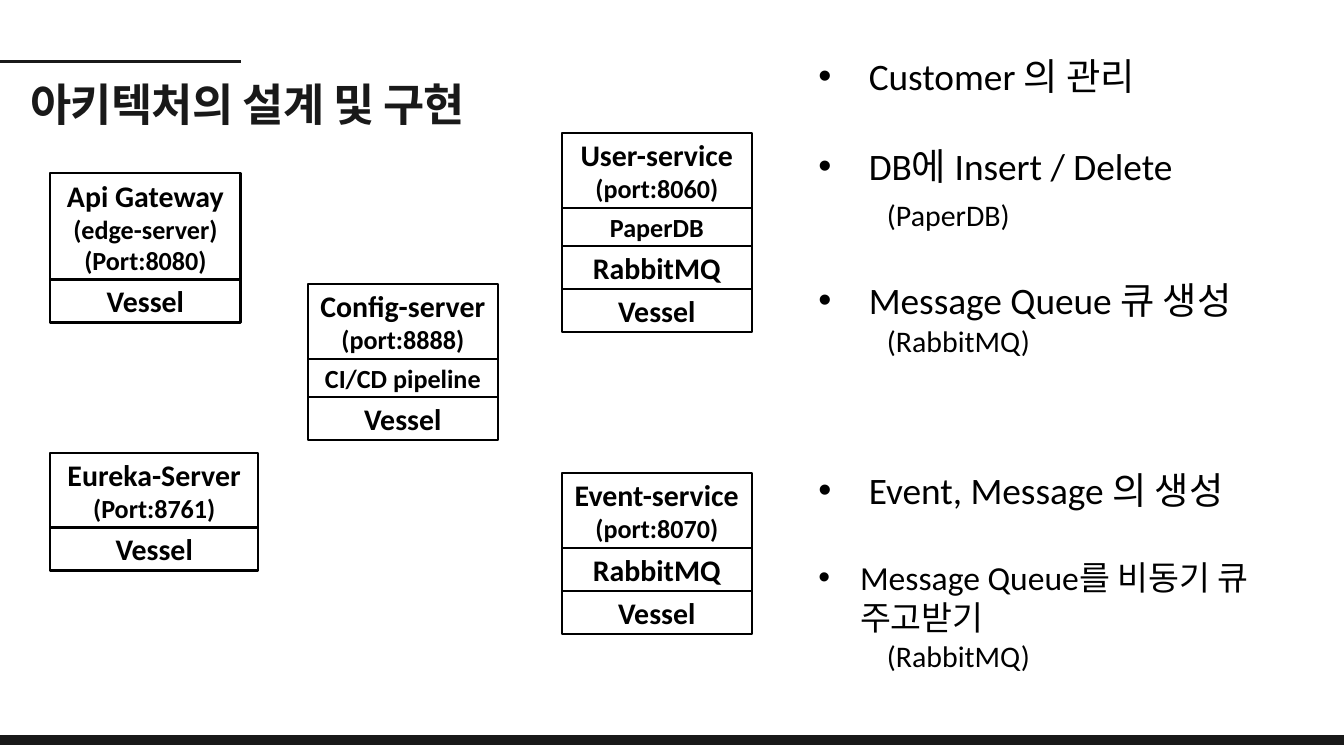
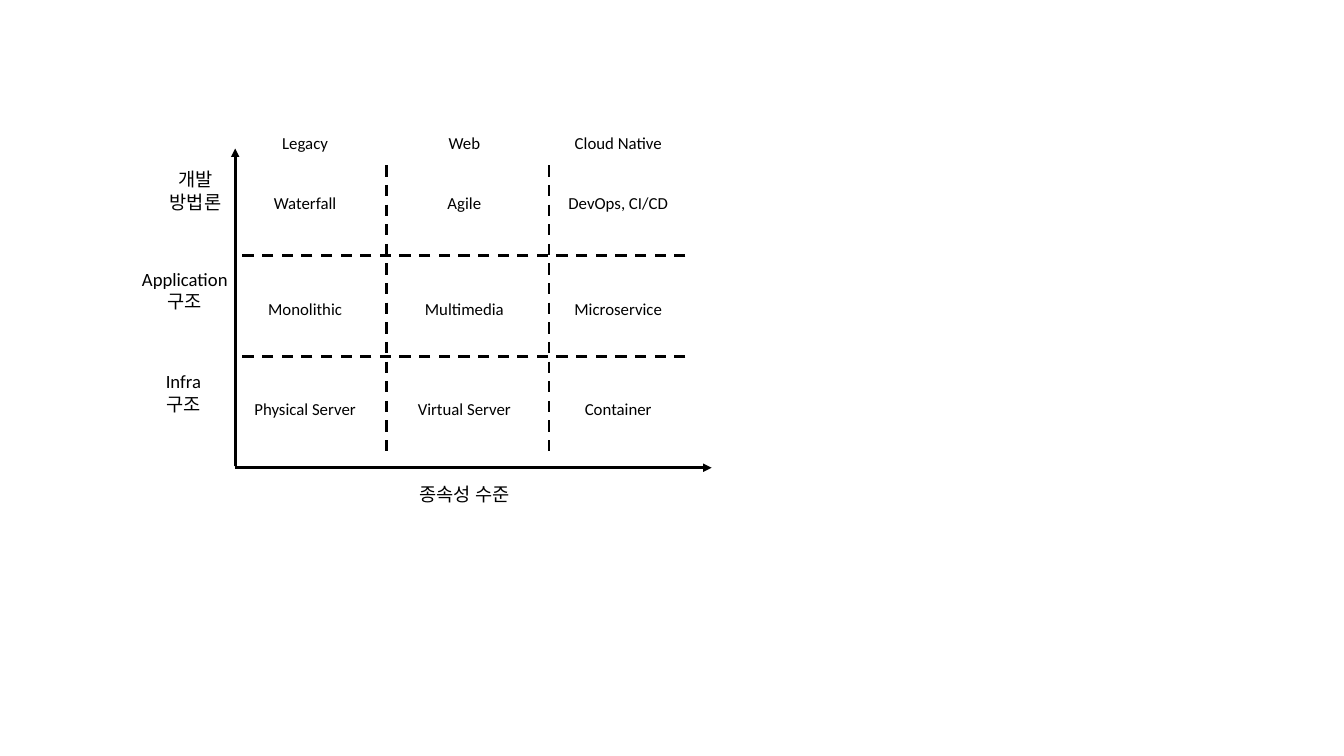
from pptx import Presentation
from pptx.util import Inches, Pt
from pptx.dml.color import RGBColor
from pptx.enum.dml import MSO_LINE
from pptx.enum.shapes import MSO_CONNECTOR, MSO_SHAPE
from pptx.enum.text import MSO_ANCHOR, PP_ALIGN
from pptx.oxml.ns import qn
from lxml.etree import SubElement

COLORS = {"ink": "000000", "dark": "191919"}
FONT = "Calibri"
TITLE_FONT = "Noto Sans CJK KR"
BIG, SMALL = 32, 28
LINE_HIGH = {BIG: 0.54, SMALL: 0.47}
VESSEL = [("Vessel", BIG)]
RABBIT = [("RabbitMQ", BIG)]

# Left, top, width and cells of each service stack
STACKS = [
    (0.75, 2.58, 2.83, [[("Api Gateway", BIG), ("(edge-server)", SMALL),
                         ("(Port:8080)", SMALL)], VESSEL]),
    (4.58, 4.23, 2.83, [[("Config-server", BIG), ("(port:8888)", SMALL)],
                        [("CI/CD pipeline", SMALL)], VESSEL]),
    (0.75, 6.74, 3.09, [[("Eureka-Server", BIG), ("(Port:8761)", SMALL)],
                        VESSEL]),
    (8.36, 1.98, 2.83, [[("User-service", BIG), ("(port:8060)", SMALL)],
                        [("PaperDB", SMALL)], RABBIT, VESSEL]),
    (8.36, 7.04, 2.83, [[("Event-service", BIG), ("(port:8070)", SMALL)],
                        RABBIT, VESSEL]),
]

# Text, size, indent, space before, bulleted
USER_NOTES = [
    ("Customer 의 관리", 40, 0.75, 0, True),
    ("DB에 Insert / Delete", 40, 0.75, 49, True),
    ("(PaperDB)", 32, 1.02, 9, False),
    ("Message Queue 큐 생성", 40, 0.75, 48, True),
    ("(RabbitMQ)", 32, 1.02, 1, False),
]
EVENT_NOTES = [
    ("Event, Message 의 생성", 40, 0.75, 0, True),
    ("Message Queue를 비동기 큐 주고받기", 36, 0.62, 48, True),
    ("(RabbitMQ)", 32, 1.02, 0, False),
]

# Grid of eras (columns) by layer (rows)
COL_LEFTS = [3.67, 6.04, 8.33]
GRID = [
    (1.93, ["Legacy", "Web", "Cloud Native"]),
    (2.82, ["Waterfall", "Agile", "DevOps, CI/CD"]),
    (4.4, ["Monolithic", "Multimedia", "Microservice"]),
    (5.88, ["Physical Server", "Virtual Server", "Container"]),
]
AXIS_LABELS = [
    (2.31, 2.45, 1.2, ["개발 방법론"]),
    (2, 3.93, 1.5, ["Application 구조"]),
    (1.98, 5.46, 1.5, ["Infra", "구조"]),
]


def color(name):
    return RGBColor.from_string(COLORS[name])


def style(para, size, bold=False, name="ink", font=FONT):
    for run in para.runs:
        run.font.size = Pt(size)
        run.font.name = font
        run.font.bold = bold
        run.font.color.rgb = color(name)


def write(frame, lines, bold=False):
    """Fill a frame with centred (text, size) lines."""
    frame.word_wrap = True
    frame.text = "\n".join(text for text, _ in lines)
    for para, (_, size) in zip(frame.paragraphs, lines):
        para.alignment = PP_ALIGN.CENTER
        style(para, size, bold)


def add_box(slide, left, top, width, height):
    box = slide.shapes.add_textbox(*map(Inches, (left, top, width, height)))
    box.text_frame.word_wrap = True
    return box.text_frame


def add_rect(slide, left, top, width, height, line, weight):
    rect = slide.shapes.add_shape(
        MSO_SHAPE.RECTANGLE, *map(Inches, (left, top, width, height)))
    rect.shadow.inherit = False
    rect.fill.background()
    rect.line.color.rgb = color(line)
    rect.line.width = Pt(weight)
    return rect


def add_line(slide, start, end, name="ink", dash=False, arrow=False):
    line = slide.shapes.add_connector(
        MSO_CONNECTOR.STRAIGHT, *map(Inches, (*start, *end)))
    line.line.color.rgb = color(name)
    line.line.width = Pt(3)
    if dash:
        line.line.dash_style = MSO_LINE.DASH
    if arrow:
        SubElement(line.line._get_or_add_ln(), qn("a:tailEnd"), type="triangle")
    SubElement(line._element.spPr, qn("a:effectLst"))


def add_title(slide, text):
    frame = add_box(slide, 0.04, 1.03, 6.88, 0.85)
    frame.margin_left = frame.margin_right = 0
    frame.margin_top = frame.margin_bottom = 0
    frame.text = text
    para = frame.paragraphs[0]
    para.alignment = PP_ALIGN.RIGHT
    para.line_spacing = Pt(65.9)
    style(para, 48, True, "dark", TITLE_FONT)
    props = para.runs[0].font._element
    props.set("spc", "-70")
    SubElement(props, qn("a:ea"), typeface=TITLE_FONT)
    add_line(slide, (0, 0.91), (3.58, 0.91), "dark")


def add_band(slide):
    band = add_rect(slide, -0.32, 10.95, 20.64, 0.13, "dark", 1.5)
    band.fill.solid()
    band.fill.fore_color.rgb = color("dark")


def add_stack(slide, left, top, width, cells):
    for lines in cells:
        height = 0.1 + sum(LINE_HIGH[size] for _, size in lines)
        cell = add_rect(slide, left, top, width, height, "ink", 2.25)
        cell.text_frame.vertical_anchor = MSO_ANCHOR.MIDDLE
        write(cell.text_frame, lines, True)
        top += height


def add_notes(slide, top, height, notes):
    frame = add_box(slide, 12.08, top, 6.83, height)
    frame.text = "\n".join(note[0] for note in notes)
    for para, (_, size, indent, space, bullet) in zip(frame.paragraphs, notes):
        if space:
            para.space_before = Pt(space)
        props = para._p.get_or_add_pPr()
        props.set("marL", str(Inches(indent)))
        if bullet:
            props.set("indent", str(-Inches(indent)))
            SubElement(props, qn("a:buFont"), typeface="Arial")
            SubElement(props, qn("a:buChar"), char="•")
        style(para, size)


def build_services(slide):
    add_band(slide)
    add_title(slide, "아키텍처의 설계 및 구현")
    for stack in STACKS:
        add_stack(slide, *stack)
    add_notes(slide, 0.74, 5.5, USER_NOTES)
    add_notes(slide, 6.9, 3.2, EVENT_NOTES)


def build_grid(slide):
    # Axes
    add_line(slide, (3.5, 6.94), (3.5, 2.21), arrow=True)
    add_line(slide, (3.5, 6.96), (10.59, 6.96), arrow=True)
    # Dividers
    for x in (5.75, 8.17):
        add_line(slide, (x, 2.46), (x, 6.79), dash=True)
    for y in (3.8, 5.3):
        add_line(slide, (10.2, y), (3.5, y), dash=True)
    # Axis labels
    for left, top, width, texts in AXIS_LABELS:
        write(add_box(slide, left, top, width, 0.77),
              [(text, 20) for text in texts])
    write(add_box(slide, 6.0, 7.13, 1.83, 0.44), [("종속성 수준", 20)])
    # Cells
    for top, texts in GRID:
        for left, text in zip(COL_LEFTS, texts):
            write(add_box(slide, left, top, 1.74, 0.4), [(text, 18)])


def main():
    deck = Presentation()
    deck.slide_width, deck.slide_height = Inches(20), Inches(11.25)
    for build in (build_services, build_grid):
        build(deck.slides.add_slide(deck.slide_layouts[6]))
    deck.save("out.pptx")


if __name__ == "__main__":
    main()
